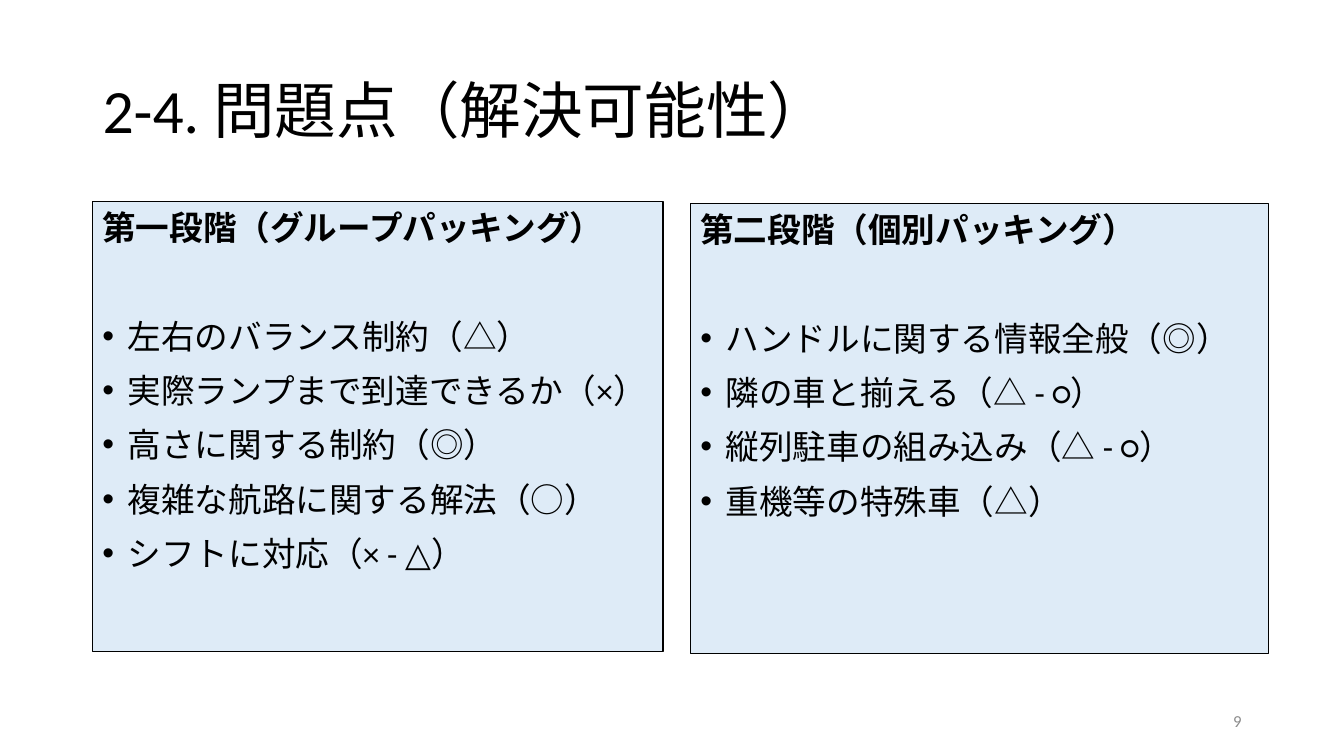
import pptx
import pptx.dml.color
import pptx.enum.lang
import pptx.enum.shapes
import pptx.enum.text
import pptx.util
from lxml import etree

Cm = pptx.util.Cm
Pt = pptx.util.Pt
RGBColor = pptx.dml.color.RGBColor
Align = pptx.enum.text.PP_ALIGN
Anchor = pptx.enum.text.MSO_ANCHOR

TITLE = "2-4. 問題点（解決可能性）"
PAGE_NUMBER = "9"
STAGES = [
    {
        "heading": "第一段階（グループパッキング）",
        "issues": [
            "左右のバランス制約（△）",
            "実際ランプまで到達できるか（×）",
            "高さに関する制約（◎）",
            "複雑な航路に関する解法（○）",
            "シフトに対応（× - △）",
        ],
        "place": (Cm(2.33), Cm(5.08), Cm(14.38), Cm(11.35)),
    },
    {
        "heading": "第二段階（個別パッキング）",
        "issues": [
            "ハンドルに関する情報全般（◎）",
            "隣の車と揃える（△ - ○）",
            "縦列駐車の組み込み（△ - ○）",
            "重機等の特殊車（△）",
        ],
        "place": (Cm(17.4), Cm(5.13), Cm(14.58), Cm(11.35)),
    },
]

FONT = "Calibri"
BLACK = RGBColor(0x00, 0x00, 0x00)
GREY = RGBColor(0x8C, 0x8C, 0x8C)
PALE_BLUE = RGBColor(0xDE, 0xEB, 0xF7)
INDENT = Cm(0.64)
ISSUE_GAP = 10
HEADING_GAP = 49


def write(para, text, size=24, color=BLACK, bold=False, align=Align.LEFT,
          before=0, spacing=1.0, bullet=False):
    """Put formatted text into a paragraph."""
    para.alignment = align
    para.space_before = Pt(before)
    para.line_spacing = spacing
    span = para.add_run()
    span.text = text
    span.font.name = FONT
    span.font.size = Pt(size)
    span.font.bold = bold
    span.font.color.rgb = color
    span.font.language_id = pptx.enum.lang.MSO_LANGUAGE_ID.JAPANESE
    if bullet:
        settings = para._p.get_or_add_pPr()
        settings.set("marL", str(INDENT))
        settings.set("indent", str(-INDENT))
        namespace = pptx.oxml.ns.qn
        etree.SubElement(settings, namespace("a:buFont")).set("typeface", "Arial")
        etree.SubElement(settings, namespace("a:buChar")).set("char", "•")


def add_stage(page, stage):
    """Draw one panel with its heading and bulleted issues."""
    box = page.shapes.add_shape(
        pptx.enum.shapes.MSO_SHAPE.RECTANGLE, *stage["place"])
    box.shadow.inherit = False
    box.fill.solid()
    box.fill.fore_color.rgb = PALE_BLUE
    box.line.color.rgb = BLACK
    box.line.width = Pt(0.75)
    frame = box.text_frame
    frame.word_wrap = True
    frame.vertical_anchor = Anchor.TOP
    write(frame.paragraphs[0], stage["heading"], bold=True)
    for index, issue in enumerate(stage["issues"]):
        gap = ISSUE_GAP if index else HEADING_GAP
        write(frame.add_paragraph(), issue, before=gap, bullet=True)


def main():
    """Build the slide and save it."""
    deck = pptx.Presentation()
    deck.slide_width, deck.slide_height = Cm(33.87), Cm(19.05)
    page = deck.slides.add_slide(deck.slide_layouts[5])

    title = page.shapes.title
    title.left, title.top = Cm(2.33), Cm(1.01)
    title.width, title.height = Cm(29.21), Cm(3.68)
    title.text_frame.vertical_anchor = Anchor.MIDDLE
    write(title.text_frame.paragraphs[0], TITLE, size=44, spacing=0.9)

    for stage in STAGES:
        add_stage(page, stage)

    number = page.shapes.add_textbox(Cm(23.92), Cm(17.66), Cm(7.62), Cm(1.01))
    number.text_frame.word_wrap = True
    number.text_frame.vertical_anchor = Anchor.MIDDLE
    write(number.text_frame.paragraphs[0], PAGE_NUMBER, size=12, color=GREY,
          align=Align.RIGHT)

    deck.save("out.pptx")


if __name__ == "__main__":
    main()
